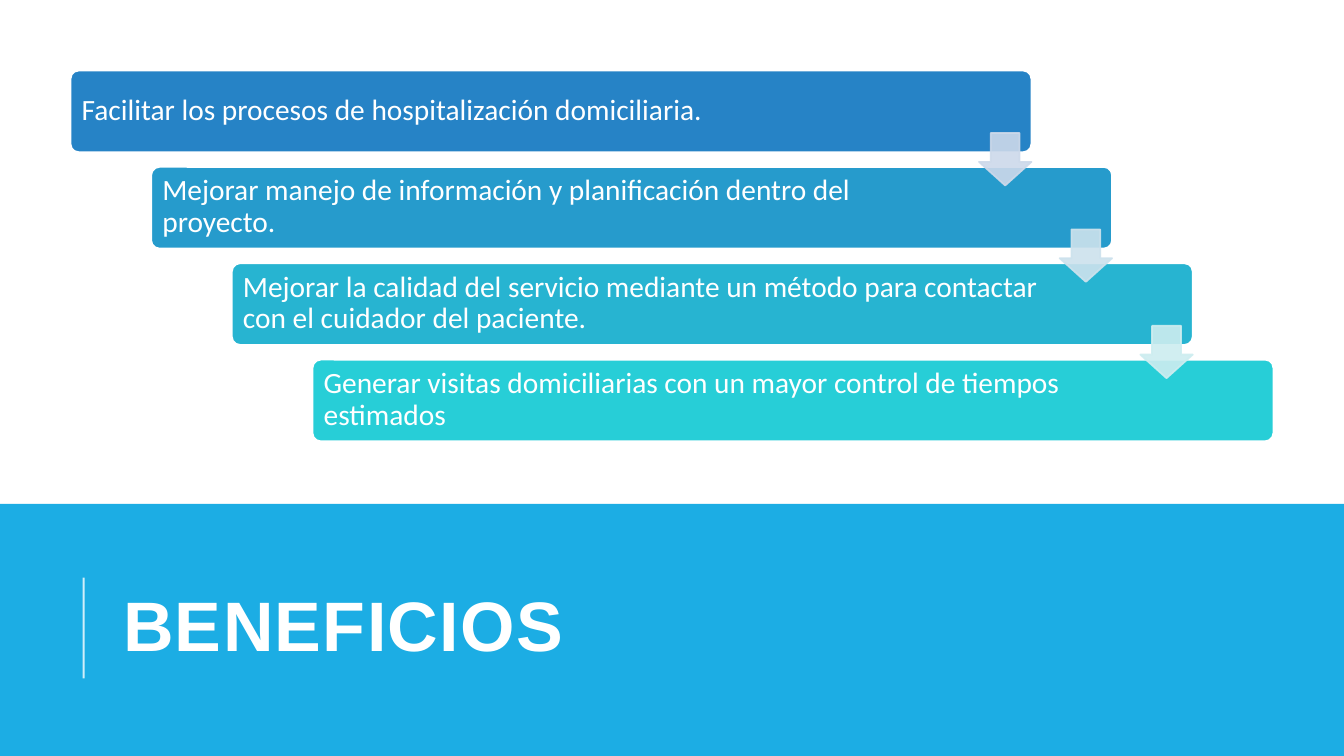
"""Build the benefits slide: four stepped bars linked by arrows above a title band."""
from dataclasses import dataclass

from lxml import etree
from pptx import Presentation
from pptx import util as u
from pptx.dml import color, fill
from pptx.enum import shapes, text
from pptx.oxml import ns

HUES = {
    "white": "FFFFFF", "band": "1CADE4",
    "bar1": "2683C6", "bar2": "269BCC", "bar3": "27B4D1", "bar4": "27CED7",
    "arrow1": "CDD9EA", "arrow2": "CDE2ED", "arrow3": "CDEDF0",
}
LEFT, TOP, WIDE, HIGH = 0.7, 0.7, 9.53, 0.81
STEP_X, STEP_Y = 0.8, 0.956
ARROW = 0.52


@dataclass
class Step:
    """One benefit, with its bar colour, text width and optional arrow colour."""
    words: str
    bar: str
    width: float
    arrow: str = ""


STEPS = [
    Step("Facilitar los procesos de hospitalización domiciliaria.", "bar1", 8.59, "arrow1"),
    Step("Mejorar manejo de información y planificación dentro del proyecto.",
         "bar2", 8.16, "arrow2"),
    Step("Mejorar la calidad del servicio mediante un método para contactar "
         "con el cuidador del paciente.", "bar3", 8.17, "arrow3"),
    Step("Generar visitas domiciliarias con un mayor control de tiempos estimados",
         "bar4", 8.16),
]


def paint(ink: fill.FillFormat, hue: str, alpha: int = 100) -> None:
    """Make a fill solid, with an opacity in percent."""
    ink.solid()
    ink.fore_color.rgb = color.RGBColor.from_string(HUES[hue])
    if alpha < 100:
        node = ink._xPr.find(".//" + ns.qn("a:srgbClr"))
        etree.SubElement(node, ns.qn("a:alpha"), val=str(alpha * 1000))


def draw(slide, kind: shapes.MSO_SHAPE, box: tuple, hue: str, edge: str = "",
         alpha: int = 100, adjust: tuple = ()):
    """Add a preset shape with a flat fill and an optional outline."""
    shape = slide.shapes.add_shape(kind, *map(u.Inches, box))
    shape.shadow.inherit = False
    paint(shape.fill, hue, alpha)
    if edge:
        paint(shape.line.fill, edge, alpha)
        shape.line.width = u.Pt(1.25)
    else:
        shape.line.fill.background()
    for i, value in enumerate(adjust):
        shape.adjustments[i] = value
    return shape


def write(shape, words: str, font: str, size: int, lead: float,
          inset: tuple, bold: bool = False) -> None:
    """Set white, left-aligned, vertically centred text."""
    frame = shape.text_frame
    frame.text = words
    frame.word_wrap = True
    frame.auto_size = text.MSO_AUTO_SIZE.NONE
    frame.vertical_anchor = text.MSO_ANCHOR.MIDDLE
    frame.margin_left = frame.margin_right = u.Inches(inset[0])
    frame.margin_top = frame.margin_bottom = u.Inches(inset[1])
    para = frame.paragraphs[0]
    para.alignment = text.PP_ALIGN.LEFT
    para.line_spacing = lead
    face = para.runs[0].font
    face.name, face.size, face.bold = font, u.Pt(size), bold
    face.color.rgb = color.RGBColor.from_string(HUES["white"])


def head(slide) -> None:
    """Draw the lower band with the title and its upright rule."""
    title = slide.shapes.title
    title.left, title.top, title.width, title.height = map(
        u.Inches, (1.12, 5.44, 10.63, 1.64))
    write(title, "BENEFICIOS", "Arial", 50, 0.8, (0.1, 0.05), True)
    title.text_frame.paragraphs[0].runs[0].font._element.set("spc", "100")
    band = draw(slide, shapes.MSO_SHAPE.RECTANGLE, (0, 5, 13.33, 2.5), "band")
    title._element.addprevious(band._element)
    rule = slide.shapes.add_connector(
        shapes.MSO_CONNECTOR.STRAIGHT, *map(u.Inches, (0.83, 6.73, 0.83, 5.73)))
    paint(rule.line.fill, "white", 80)
    rule.line.width = u.Pt(1.5)
    etree.SubElement(rule._element.spPr, ns.qn("a:effectLst"))


def stair(slide) -> None:
    """Draw the stepped bars, then the arrows over them."""
    spots = [(LEFT + i * STEP_X, TOP + i * STEP_Y) for i in range(len(STEPS))]
    for step, (x, y) in zip(STEPS, spots):
        draw(slide, shapes.MSO_SHAPE.ROUNDED_RECTANGLE, (x, y, WIDE, HIGH),
             step.bar, "white", adjust=(0.1,))
        label = slide.shapes.add_textbox(
            *map(u.Inches, (x + 0.02, y + 0.02, step.width, 0.76)))
        write(label, step.words, "Calibri", 21, 0.9, (0.09, 0.09))
    for step, (x, y) in zip(STEPS, spots):
        if step.arrow:
            draw(slide, shapes.MSO_SHAPE.DOWN_ARROW,
                 (x + WIDE - ARROW, y + 0.62, ARROW, ARROW),
                 step.arrow, step.arrow, 90, (0.55, 0.45))


def main() -> None:
    """Create and save the deck."""
    deck = Presentation()
    deck.slide_width, deck.slide_height = u.Inches(13.33), u.Inches(7.5)
    slide = deck.slides.add_slide(deck.slide_layouts[5])
    head(slide)
    stair(slide)
    deck.save("out.pptx")


if __name__ == "__main__":
    main()
